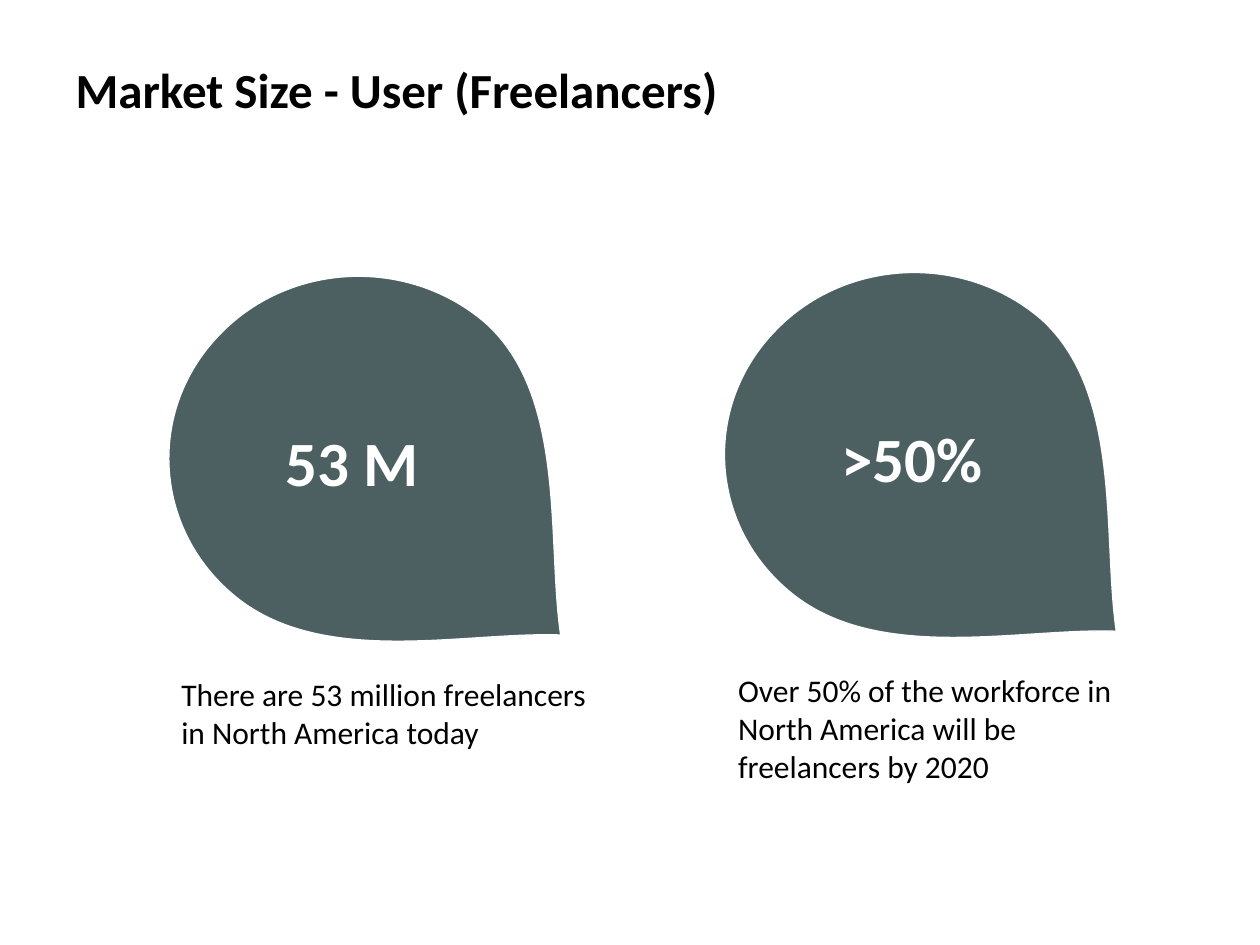
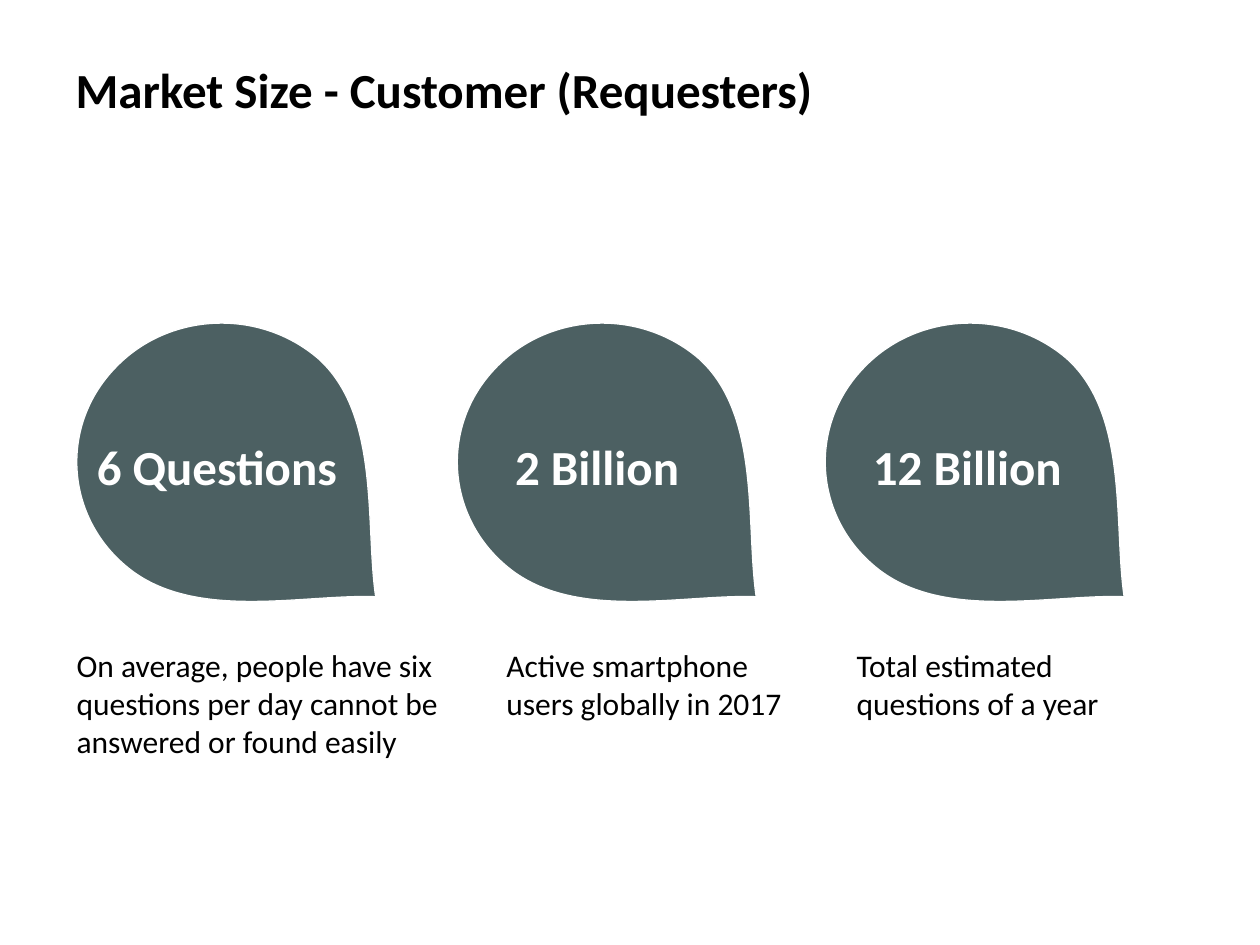
from pptx import Presentation
from pptx.dml.color import RGBColor
from pptx.enum.text import MSO_ANCHOR, MSO_AUTO_SIZE, PP_ALIGN
from pptx.oxml.ns import qn
from pptx.util import Inches, Pt

FONT = "Calibri"
INK, PAPER, SLATE = "000000", "FFFFFF", "4C6062"
TITLE_BOX = (0.5, 0.42, 6.08, 0.57)
TITLE_SIZE, CAPTION_SIZE = 28, 18
FIGURE_DROP_SHARE = 0.39

DROP_WIDTH, DROP_HEIGHT = 3.33, 3.28
DROP_START = (0.56, 0.64)
DROP_CURVES = [
    ((0, 1.23), (0.05, 2.15), (0.67, 2.68)),
    ((1.36, 3.28), (2.52, 2.98), (3.28, 3.01)),
    ((3.17, 2.26), (3.33, 1.11), (2.68, 0.53)),
    ((2.06, 0), (1.11, 0.05), DROP_START),
]

MARKETS = [
    {
        "title": "Market Size - User (Freelancers)",
        "drop_width": 3.33, "figure_size": 36, "figure_height": 0.71, "caption_gap": 0,
        "facts": [
            {"figure": ">50%", "drop": (5.58, 2), "figure_span": (1, 1.59),
             "caption": "Over 50% of the workforce in North America will be freelancers by 2020",
             "caption_span": (0.18, 3.58), "lines": 3},
            {"figure": "53 M", "drop": (1.17, 2.03), "figure_span": (1, 1.59),
             "caption": "There are 53 million freelancers in North America today",
             "caption_span": (0.17, 3.49), "lines": 2},
        ],
    },
    {
        "title": "Market Size - Customer (Requesters)",
        "drop_width": 2.54, "figure_size": 28, "figure_height": 0.57, "caption_gap": 0.14,
        "facts": [
            {"figure": "6 Questions", "drop": (0.48, 2.44), "figure_span": (0.19, 2.13),
             "caption": "On average, people have six questions per day cannot be answered or found easily",
             "caption_span": (0.03, 3.25), "lines": 3},
            {"figure": "2 Billion", "drop": (3.5, 2.44), "figure_span": (0.49, 1.55),
             "caption": "Active smartphone users globally in 2017",
             "caption_span": (0.42, 2.42), "lines": 2},
            {"figure": "12 Billion", "drop": (6.42, 2.44), "figure_span": (0.41, 1.92),
             "caption": "Total estimated questions of a year ",
             "caption_span": (0.28, 2.75), "lines": 2},
        ],
    },
]


def color(value):
    return RGBColor.from_string(value)


def write(holder, words, size, ink, bold=False):
    frame = holder.text_frame
    frame.text = words
    frame.word_wrap = True
    frame.auto_size = MSO_AUTO_SIZE.SHAPE_TO_FIT_TEXT
    frame.vertical_anchor = MSO_ANCHOR.TOP
    paragraph = frame.paragraphs[0]
    paragraph.alignment = PP_ALIGN.LEFT
    font = paragraph.runs[0].font
    font.name, font.size, font.bold = FONT, Pt(size), bold
    font.color.rgb = color(ink)


def add_title(slide, words):
    title = slide.shapes.title
    title.left, title.top, title.width, title.height = map(Inches, TITLE_BOX)
    write(title, words, TITLE_SIZE, INK, bold=True)


def add_words(slide, box, words, size, ink, bold=False):
    write(slide.shapes.add_textbox(*map(Inches, box)), words, size, ink, bold)


def bend_lines(freeform):
    segments = list(freeform._element.iter(qn("a:lnTo")))
    for first in range(0, len(segments), 3):
        curve, *rest = segments[first:first + 3]
        bend = curve.makeelement(qn("a:cubicBezTo"))
        curve.addprevious(bend)
        for segment in (curve, *rest):
            bend.append(segment[0])
            segment.getparent().remove(segment)


def add_drop(slide, left, top, scale):
    outline = [DROP_START] + [point for curve in DROP_CURVES for point in curve]
    placed = [(Inches(left + x * scale), Inches(top + y * scale)) for x, y in outline]
    builder = slide.shapes.build_freeform(*placed[0])
    builder.add_line_segments(placed[1:], close=True)
    drop = builder.convert_to_shape()
    bend_lines(drop)
    drop.shadow.inherit = False
    drop.fill.solid()
    drop.fill.fore_color.rgb = color(SLATE)
    drop.line.color.rgb = color(PAPER)
    drop.line.width = Pt(0.75)


def add_fact(slide, fact, market):
    left, top = fact["drop"]
    scale = market["drop_width"] / DROP_WIDTH
    height = DROP_HEIGHT * scale
    add_drop(slide, left, top, scale)

    indent, width = fact["figure_span"]
    figure_box = (left + indent, top + height * FIGURE_DROP_SHARE, width, market["figure_height"])
    add_words(slide, figure_box, fact["figure"], market["figure_size"], PAPER, bold=True)

    indent, width = fact["caption_span"]
    caption_box = (left + indent, top + height + market["caption_gap"],
                   width, 0.1 + 0.3 * fact["lines"])
    add_words(slide, caption_box, fact["caption"], CAPTION_SIZE, INK)


deck = Presentation()
deck.slide_width, deck.slide_height = Inches(10), Inches(7.5)
title_only = deck.slide_layouts[5]

for market in MARKETS:
    slide = deck.slides.add_slide(title_only)
    add_title(slide, market["title"])
    for fact in market["facts"]:
        add_fact(slide, fact, market)

deck.save("out.pptx")
